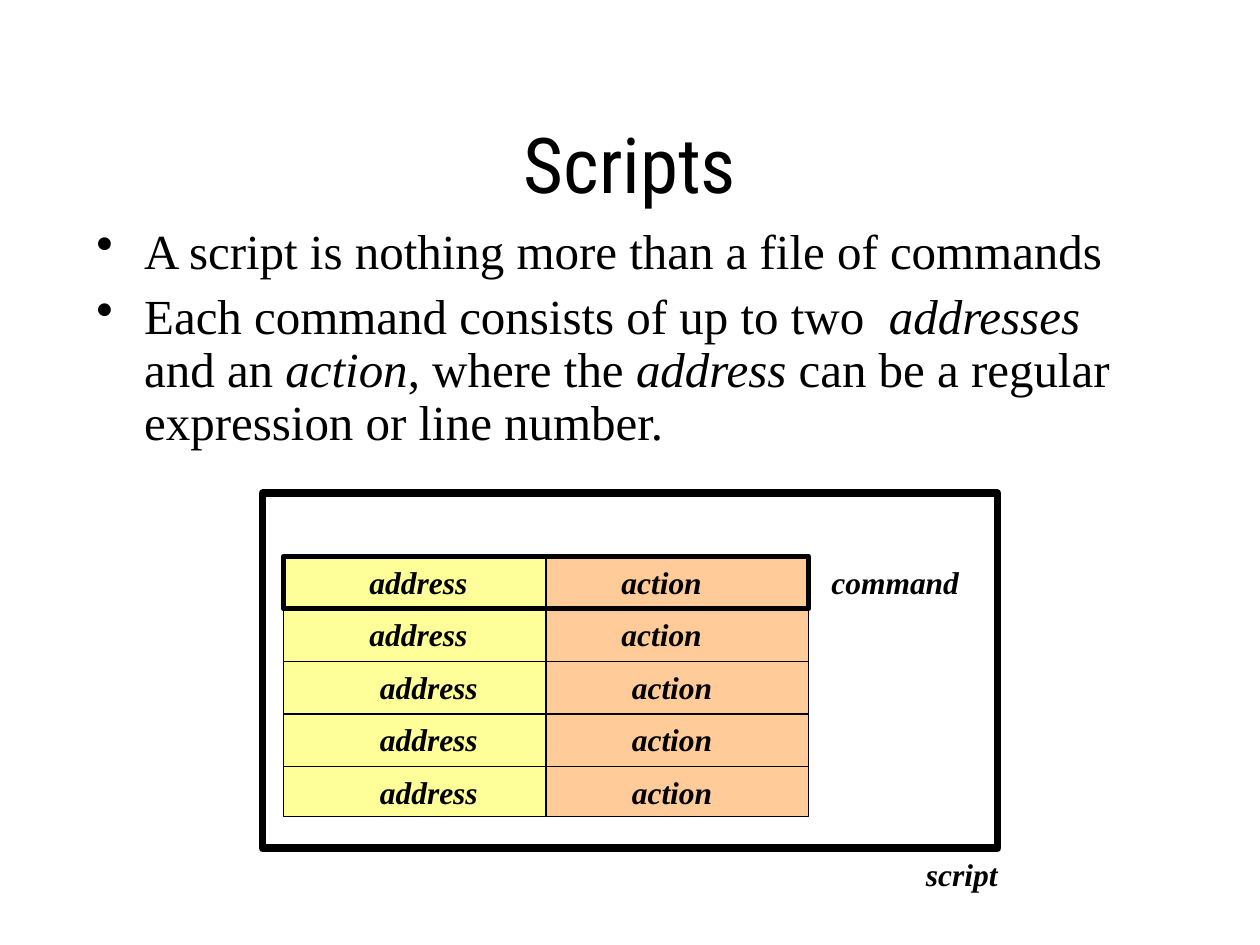
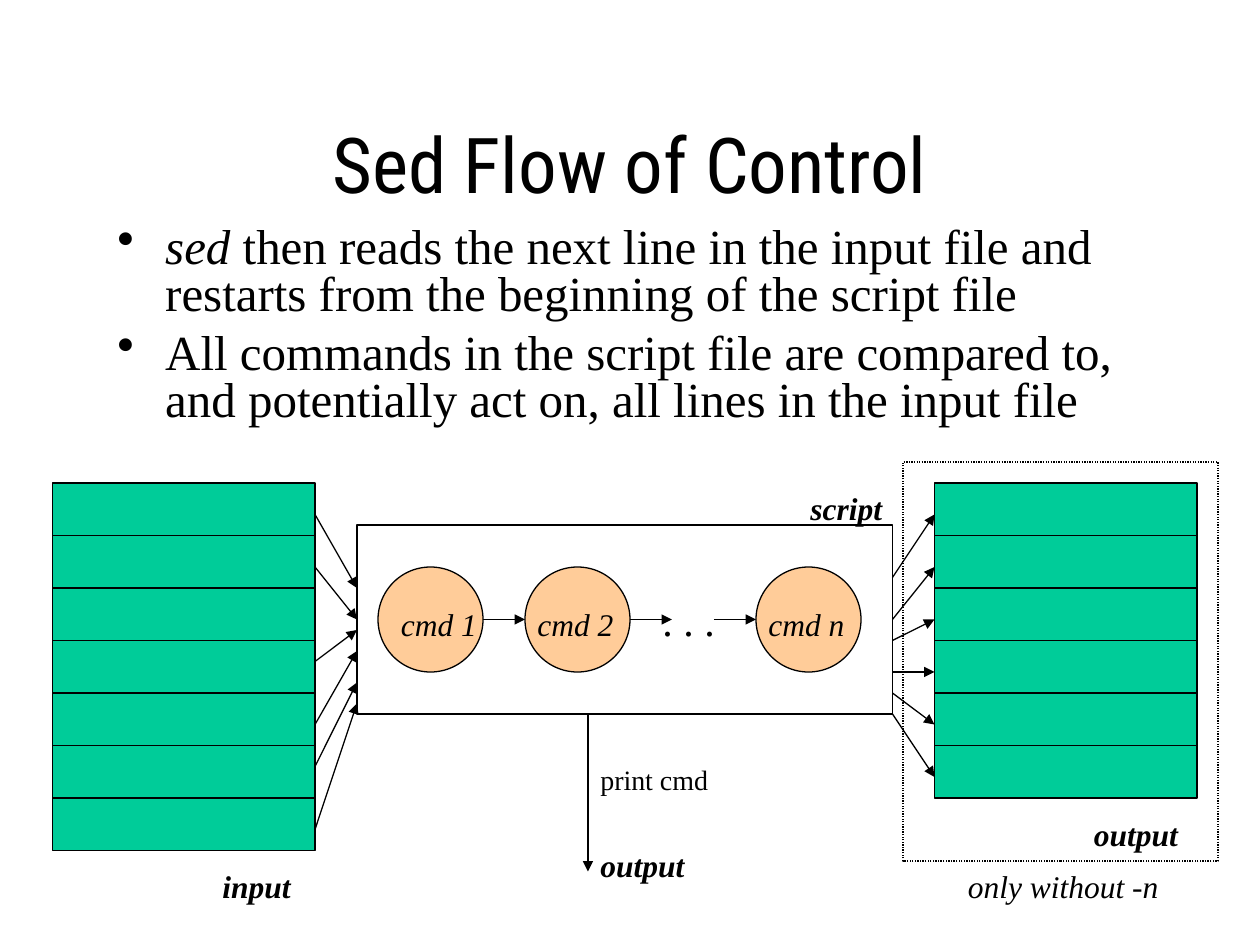
from lxml import etree
from pptx import Presentation
from pptx.dml.color import RGBColor
from pptx.enum.dml import MSO_LINE
from pptx.enum.shapes import MSO_CONNECTOR, MSO_SHAPE
from pptx.enum.text import MSO_ANCHOR, MSO_AUTO_SIZE, PP_ALIGN
from pptx.oxml.ns import qn
from pptx.util import Inches, Pt

RECTANGLE = MSO_SHAPE.RECTANGLE
OVAL = MSO_SHAPE.OVAL
STRAIGHT = MSO_CONNECTOR.STRAIGHT
DOTTED = MSO_LINE.ROUND_DOT
MIDDLE = MSO_ANCHOR.MIDDLE
CENTER = PP_ALIGN.CENTER
NO_AUTOFIT = MSO_AUTO_SIZE.NONE
LEFT_SIDE, RIGHT_SIDE = 1, 3

COLORS = {
    "ink": "000000",
    "address": "FFFF99",
    "action": "FFCC99",
    "command": "FFCC99",
    "file": "00CC99",
}
TITLE_FONT = "Roboto Condensed"
TEXT_FONT = "Times New Roman"
TITLE_LAYOUT = 5
COLUMNS, ROWS = 120, 90  # grid of the whole slide, 12 steps to the inch
STACK_WIDTH, ROW_HEIGHT = 25, 5
LABEL_HEIGHT = 4.8
THIN = 0.75


def grid(*steps):
    return [Inches(step * 10 / COLUMNS) for step in steps]


def color(name):
    return RGBColor.from_string(COLORS[name])


def set_font(font, size, name=TEXT_FONT, bold=None, italic=None):
    font.name, font.size = name, Pt(size)
    font.bold, font.italic = bold, italic
    font.color.rgb = color("ink")


def add_titled_page(deck, title):
    page = deck.slides.add_slide(deck.slide_layouts[TITLE_LAYOUT])
    box = page.shapes.title
    box.left, box.top, box.width, box.height = grid(9, 8, 102, 15)
    frame = box.text_frame
    frame.text = title
    frame.auto_size = NO_AUTOFIT
    frame.vertical_anchor = MIDDLE
    para = frame.paragraphs[0]
    para.alignment = CENTER
    set_font(para.font, 44, TITLE_FONT)
    return page


def add_text_frame(page, area):
    frame = page.shapes.add_textbox(*grid(*area)).text_frame
    frame.word_wrap = True
    return frame


def add_bullets(page, area, line_spacing, items):
    """Add a bulleted list; text between asterisks is italic."""
    frame = add_text_frame(page, area)
    for index, item in enumerate(items):
        para = frame.add_paragraph() if index else frame.paragraphs[0]
        para.line_spacing = line_spacing
        para.space_before = Pt(7 if index else 0)
        properties = para._p.get_or_add_pPr()
        indent = Inches(0.38)
        properties.set("marL", str(indent))
        properties.set("indent", str(-indent))
        etree.SubElement(properties, qn("a:buChar")).set("char", "•")
        set_font(para.font, 28)
        for part, words in enumerate(item.split("*")):
            if words:
                span = para.add_run()
                span.text = words
                span.font.italic = part % 2 == 1


def add_label(page, words, left, top, width=11, size=18, bold=True, italic=True):
    frame = add_text_frame(page, (left, top, width, LABEL_HEIGHT))
    frame.text = words
    set_font(frame.paragraphs[0].font, size, bold=bold, italic=italic)


def add_outline(page, area, fill=None, weight=THIN, kind=RECTANGLE):
    shape = page.shapes.add_shape(kind, *grid(*area))
    shape.shadow.inherit = False
    if fill:
        shape.fill.solid()
        shape.fill.fore_color.rgb = color(fill)
    else:
        shape.fill.background()
    shape.line.color.rgb = color("ink")
    shape.line.width = Pt(weight)
    return shape


def add_line(page, start, end, arrow=False):
    line = page.shapes.add_connector(STRAIGHT, *grid(*start, *end))
    line.line.color.rgb = color("ink")
    line.line.width = Pt(THIN)
    if arrow:
        tail = etree.SubElement(line.line._get_or_add_ln(), qn("a:tailEnd"))
        tail.set("type", "triangle")
    etree.SubElement(line._element.spPr, qn("a:effectLst"))
    return line


def add_stack(page, left, top, rows, fill, height=None):
    """Add a filled box ruled into rows of equal height."""
    add_outline(page, (left, top, STACK_WIDTH, height or rows * ROW_HEIGHT), fill)
    for row in range(1, rows):
        y = top + row * ROW_HEIGHT
        add_line(page, (left, y), (left + STACK_WIDTH, y))


def add_fan(page, left, right, ends):
    return [add_line(page, (left, start), (right, end), arrow=True)
            for start, end in ends]


def build_scripts(deck):
    page = add_titled_page(deck, "Scripts")
    add_bullets(page, (8, 21, 103, 23), 0.9, [
        "A script is nothing more than a file of commands",
        "Each command consists of up to two  *addresses* and an *action*, "
        "where the *address* can be a regular expression or line number.",
    ])
    left, top, rows = 27, 53, 5
    for column, (words, inset) in enumerate([("address", 7), ("action", 6)]):
        x = left + column * STACK_WIDTH
        add_stack(page, x, top, rows, words, height=24.8)
        for row in range(rows):
            shift = 0 if row < 2 else 1
            add_label(page, words, x + inset + shift, top + row * ROW_HEIGHT, 13)
    add_outline(page, (left, top, 2 * STACK_WIDTH, ROW_HEIGHT), weight=3)
    add_label(page, "command", 78, top, 19)
    add_outline(page, (25, 47, 70, 33.8), weight=4.5)
    add_label(page, "script", 87, 80.8, 10)


def build_flow(deck):
    page = add_titled_page(deck, "Sed Flow of Control")
    add_bullets(page, (10, 21, 102, 21), 0.8, [
        "*sed* then reads the next line in the input file and restarts "
        "from the beginning of the script file",
        "All commands in the script file are compared to, and potentially "
        "act on, all lines in the input file",
    ])
    add_stack(page, 5, 46, 7, "file")
    add_stack(page, 89, 46, 6, "file")
    script = add_outline(page, (34, 50, 51, 18))
    without_n = add_outline(page, (86, 44, 30, 38))
    without_n.line.dash_style = DOTTED

    for words, x, label_x in [("cmd 1", 36, 37), ("cmd 2", 50, 50), ("cmd n", 72, 72)]:
        add_outline(page, (x, 54, 10, 10), "command", kind=OVAL)
        add_label(page, words, label_x, 57, bold=False)
    add_label(page, ". . .", 62, 56, 8, size=24, bold=False)
    for x in (46, 60, 68):
        add_line(page, (x, 59), (x + 4, 59), arrow=True)
    add_line(page, (56, 68), (56, 83), arrow=True)

    reads = add_fan(page, 30, 34, [(49, 56), (54, 59), (63, 60),
                                   (69, 62), (73, 65), (79, 67)])
    reads[1].end_connect(script, LEFT_SIDE)
    writes = add_fan(page, 85, 89, [(55, 49), (59, 54), (61, 59),
                                    (64, 64), (66, 69), (68, 74)])
    writes[1].begin_connect(script, RIGHT_SIDE)

    add_label(page, "script", 76, 46)
    add_label(page, "input", 20, 82)
    add_label(page, "output", 103, 77)
    add_label(page, "output", 56, 80)
    add_label(page, "only without -n", 91, 82, 26, bold=False)
    add_label(page, "print cmd", 56, 72, 18, size=16, bold=False, italic=False)


def main():
    deck = Presentation()
    deck.slide_width, deck.slide_height = grid(COLUMNS, ROWS)
    build_scripts(deck)
    build_flow(deck)
    deck.save("out.pptx")


if __name__ == "__main__":
    main()
